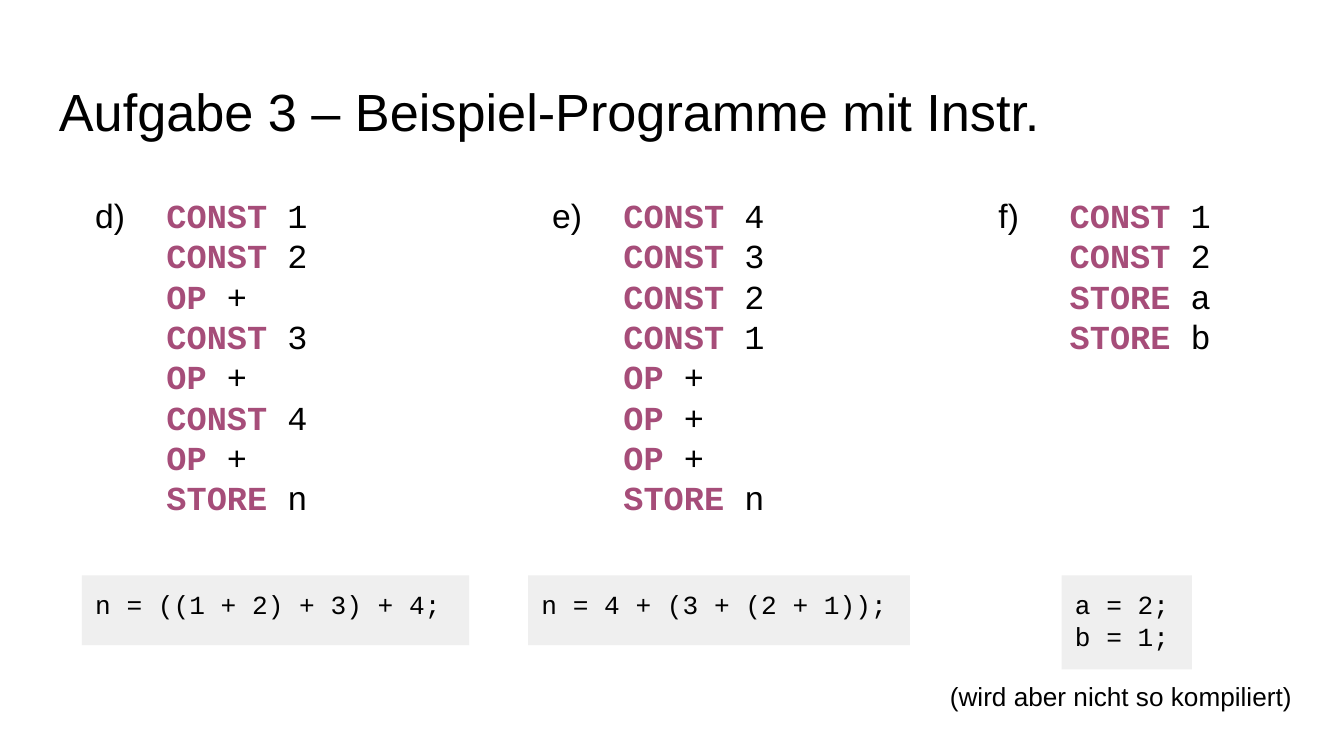
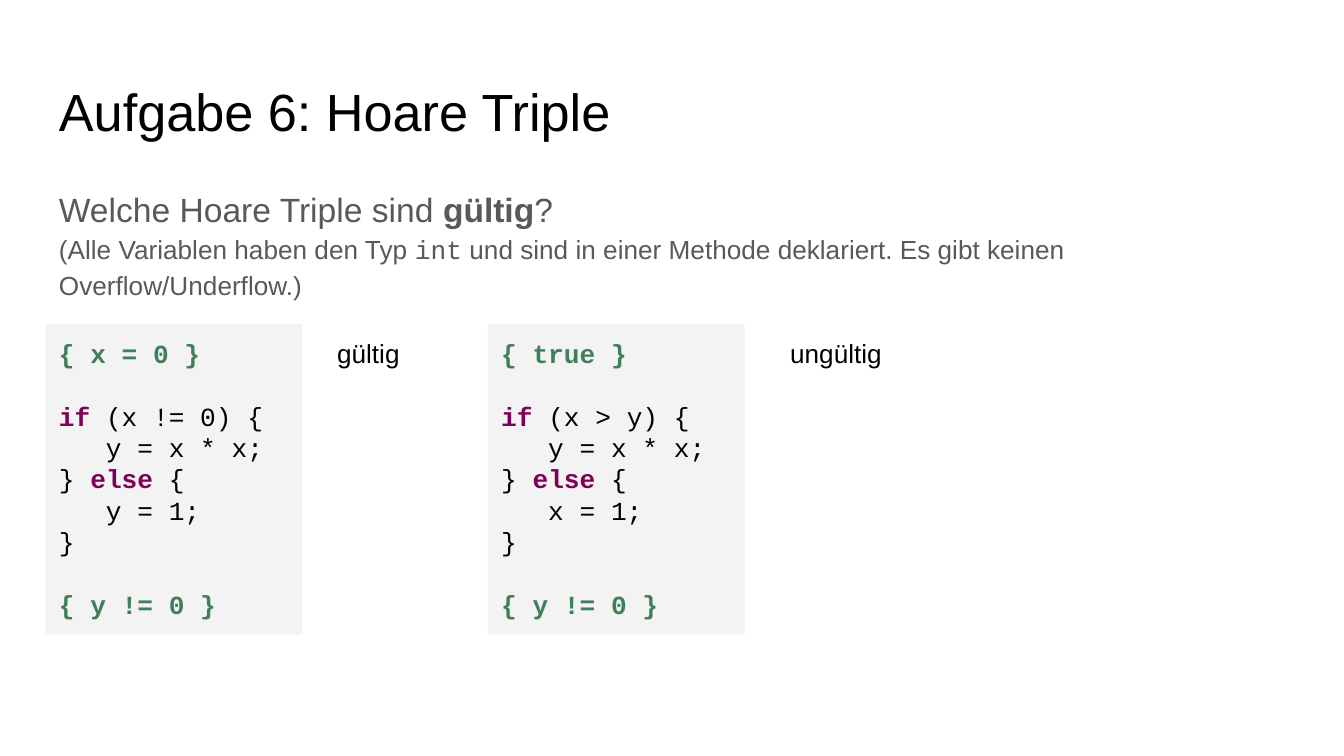
from lxml.etree import SubElement
from pptx import Presentation
from pptx.dml.color import RGBColor
from pptx.enum.shapes import MSO_SHAPE
from pptx.enum.text import MSO_ANCHOR, PP_ALIGN
from pptx.oxml.ns import qn
from pptx.util import Pt

BLACK = RGBColor(0x00, 0x00, 0x00)
BODY_GREY = RGBColor(0x59, 0x59, 0x59)
RESULT_FILL = RGBColor(0xEF, 0xEF, 0xEF)
CODE_FILL = RGBColor(0xF3, 0xF3, 0xF3)
INSTR_PINK = RGBColor(0xA6, 0x4D, 0x79)
KEYWORD_PURPLE = RGBColor(0x7F, 0x00, 0x55)
CONDITION_GREEN = RGBColor(0x3F, 0x7F, 0x59)

SANS, MONO = "Arial", "Courier New"
CODE_LINE = 16.8  # height of one 14 pt code line
LEFT, WIDTH = 24.5, 671


class Deck:
    """Holds the style and the current slide."""

    def __init__(self):
        self.prs = Presentation()
        self.prs.slide_width, self.prs.slide_height = Pt(720), Pt(405)

    def slide(self, title):
        self.s = self.prs.slides.add_slide(self.prs.slide_layouts[6])
        self.text(LEFT, 35.3, WIDTH, 45.4, title, 28)

    def frame(self, sp):
        tf = sp.text_frame
        tf.word_wrap = True
        tf.vertical_anchor = MSO_ANCHOR.TOP
        tf.margin_left = tf.margin_right = Pt(7.2)
        tf.margin_top = tf.margin_bottom = Pt(7.2)
        return tf

    def textbox(self, x, y, w, h):
        return self.frame(self.s.shapes.add_textbox(Pt(x), Pt(y), Pt(w), Pt(h)))

    def box(self, x, y, w, h, fill):
        sp = self.s.shapes.add_shape(MSO_SHAPE.RECTANGLE, Pt(x), Pt(y), Pt(w), Pt(h))
        sp.shadow.inherit = False
        sp.fill.solid()
        sp.fill.fore_color.rgb = fill
        sp.line.fill.background()
        return self.frame(sp)

    def run(self, p, text, size, font=SANS, color=BLACK, bold=False):
        r = p.add_run()
        r.text = text
        r.font.size, r.font.name, r.font.bold = Pt(size), font, bold
        r.font.color.rgb = color
        for tag in ("a:ea", "a:cs"):
            SubElement(r.font._element, qn(tag), typeface=font)

    def text(self, x, y, w, h, text, size):
        self.run(self.textbox(x, y, w, h).paragraphs[0], text, size)

    def code(self, tf, lines, size):
        """Each line is a list of (text, highlight colour or None)."""
        for i, line in enumerate(lines):
            p = tf.add_paragraph() if i else tf.paragraphs[0]
            p.alignment = PP_ALIGN.LEFT
            for text, color in line:
                self.run(p, text, size, MONO, color or BLACK, color is not None)

    def program(self, x, label, instructions):
        self.text(x, 97.2, 35.3, 34.6, label, 18)
        lines = []
        for instruction in instructions:
            name, arg = instruction.split()
            lines.append([(name + " ", INSTR_PINK), (arg, None)])
        self.code(self.textbox(x + 38.2, 97.2, 114.5, 193), lines, 18)

    def result(self, x, w, h, *statements):
        tf = self.box(x, 308.2, w, h, RESULT_FILL)
        self.code(tf, [[(statement, None)] for statement in statements], 14)

    def triple(self, x, pre, test, else_body, verdict_x, verdict):
        tf = self.box(x, 173.5, 137.5, 166.3, CODE_FILL)
        self.code(tf, [
            [(pre, CONDITION_GREEN)],
            [("if", KEYWORD_PURPLE), (f" ({test}) {{", None)],
            [("   y = x * x;", None)],
            [("} ", None), ("else", KEYWORD_PURPLE), (" {", None)],
            [(f"   {else_body}", None)],
            [("}", None)],
            [("{ y != 0 }", CONDITION_GREEN)],
        ], 14)
        # One line of space around the statement
        for i in (1, 6):
            tf.paragraphs[i].space_before = Pt(CODE_LINE)
        self.text(verdict_x, 173.5, 137.5, 38.2, verdict, 14)


def main():
    deck = Deck()

    # Slide 1: instruction programs and their source statements
    deck.slide("Aufgabe 3 – Beispiel-Programme mit Instr.")
    deck.program(43.9, "d)", ["CONST 1", "CONST 2", "OP +", "CONST 3",
                              "OP +", "CONST 4", "OP +", "STORE n"])
    deck.program(288.7, "e)", ["CONST 4", "CONST 3", "CONST 2", "CONST 1",
                               "OP +", "OP +", "OP +", "STORE n"])
    deck.program(527.8, "f)", ["CONST 1", "CONST 2", "STORE a", "STORE b"])
    deck.result(43.9, 207.4, 37.4, "n = ((1 + 2) + 3) + 4;")
    deck.result(283, 204.5, 37.4, "n = 4 + (3 + (2 + 1));")
    deck.result(568.8, 69.8, 50.4, "a = 2;", "b = 1;")
    deck.text(501.8, 357.1, 204.5, 36.7, "(wird aber nicht so kompiliert)", 14)

    # Slide 2: question and Hoare triples
    deck.slide("Aufgabe 6: Hoare Triple")
    p = deck.textbox(LEFT, 90.7, WIDTH, 77.8).paragraphs[0]
    p.line_spacing = 1.15
    deck.run(p, "Welche Hoare Triple sind ", 18, color=BODY_GREY)
    deck.run(p, "gültig", 18, color=BODY_GREY, bold=True)
    deck.run(p, "?", 18, color=BODY_GREY)
    p.add_line_break()
    deck.run(p, "(Alle Variablen haben den Typ ", 14, color=BODY_GREY)
    deck.run(p, "int", 14, MONO, BODY_GREY)
    deck.run(p, " und sind in einer Methode deklariert. "
                "Es gibt keinen Overflow/Underflow.)", 14, color=BODY_GREY)

    deck.triple(LEFT, "{ x = 0 }", "x != 0", "y = 1;", 173.5, "gültig")
    deck.triple(261.4, "{ true }", "x > y", "x = 1;", 416.2, "ungültig")

    deck.prs.save("out.pptx")


if __name__ == "__main__":
    main()
